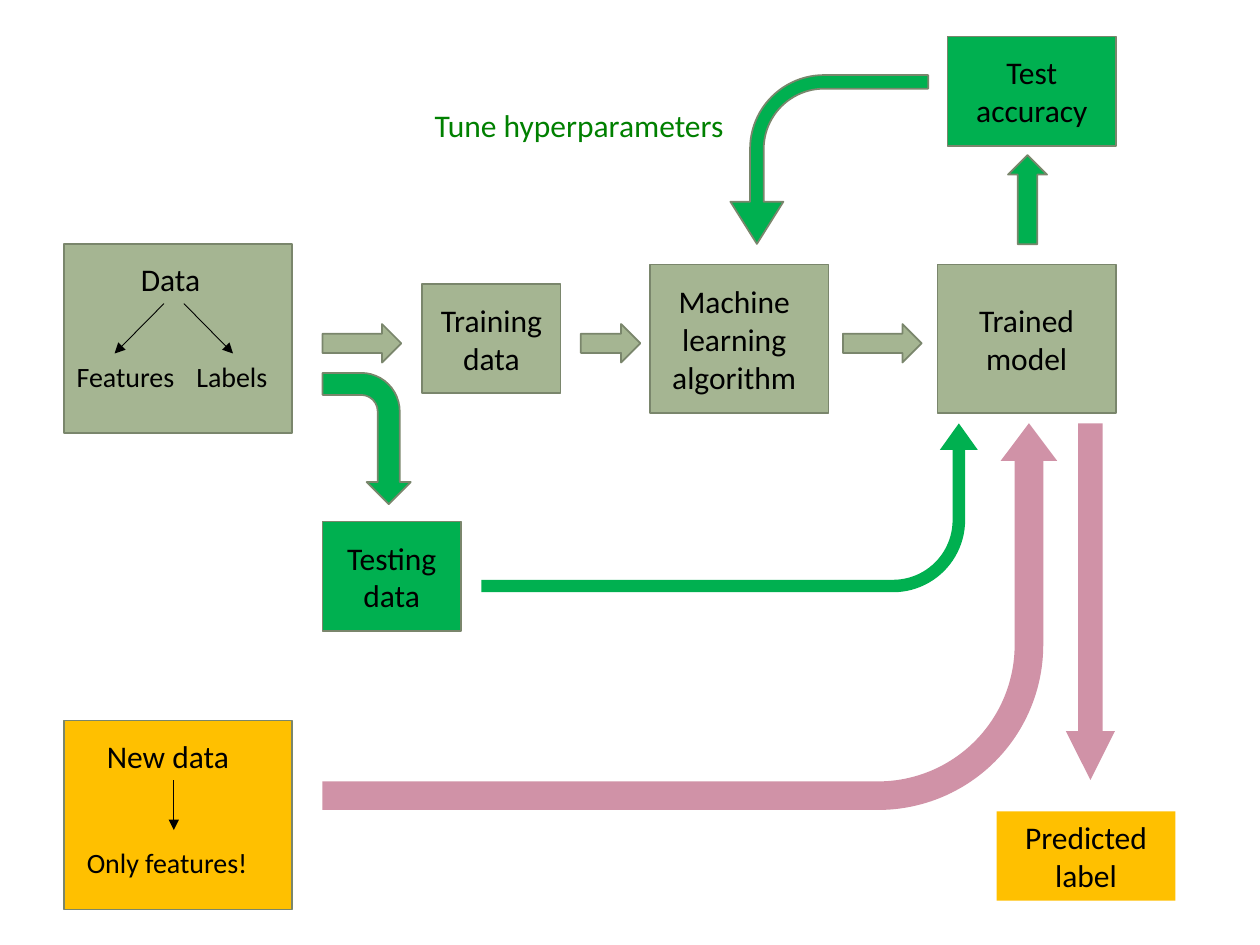
from pptx import Presentation
from pptx.dml.color import RGBColor
from pptx.enum.shapes import MSO_CONNECTOR, MSO_SHAPE
from pptx.enum.text import MSO_ANCHOR, MSO_AUTO_SIZE, PP_ALIGN
from pptx.oxml.ns import qn
from pptx.util import Pt
from lxml import etree

RECTANGLE = MSO_SHAPE.RECTANGLE
RIGHT_ARROW, DOWN_ARROW = MSO_SHAPE.RIGHT_ARROW, MSO_SHAPE.DOWN_ARROW
BENT_ARROW = MSO_SHAPE.BENT_ARROW
STRAIGHT = MSO_CONNECTOR.STRAIGHT
LEFT, CENTER = PP_ALIGN.LEFT, PP_ALIGN.CENTER
MIDDLE = MSO_ANCHOR.MIDDLE
FIT_SHAPE = MSO_AUTO_SIZE.SHAPE_TO_FIT_TEXT

SAGE = RGBColor(0xA5, 0xB5, 0x92)
OUTLINE = RGBColor(0x7A, 0x86, 0x6C)
GREEN = RGBColor(0x00, 0xB0, 0x50)
DARK_GREEN = RGBColor(0x00, 0x80, 0x00)
AMBER = RGBColor(0xFF, 0xC0, 0x00)
PINK = RGBColor(0xD0, 0x92, 0xA7)
BLACK = RGBColor(0x00, 0x00, 0x00)

FONT = "Calibri"
SMALL_STAGE = (79, 62.6)
LARGE_STAGE = (102, 85)


def inside(region, left, top, width, height):
    """Box at an offset from the top left corner of a region."""
    return region[0] + left, region[1] + top, width, height


def write_text(frame, text, size=18, color=BLACK, align=LEFT):
    """One paragraph for each line of the text."""
    frame.word_wrap = True
    for index, line in enumerate(text.split("\n")):
        para = frame.paragraphs[0] if index == 0 else frame.add_paragraph()
        para.alignment = align
        span = para.add_run()
        span.text = line
        span.font.name = FONT
        span.font.size = Pt(size)
        span.font.color.rgb = color


def add_label(page, box, text, **style):
    label = page.shapes.add_textbox(*map(Pt, box))
    label.text_frame.auto_size = FIT_SHAPE
    write_text(label.text_frame, text, **style)


def add_block(page, kind, box, fill, outline=OUTLINE):
    block = page.shapes.add_shape(kind, *map(Pt, box))
    block.shadow.inherit = False
    block.fill.solid()
    block.fill.fore_color.rgb = fill
    if outline is None:
        block.line.fill.background()
    else:
        block.line.color.rgb = outline
        block.line.width = Pt(1)
    return block


def add_stage(page, box, text, fill, outline=OUTLINE, right_margin=7.2):
    stage = add_block(page, RECTANGLE, box, fill, outline)
    frame = stage.text_frame
    frame.vertical_anchor = MIDDLE
    frame.margin_right = Pt(right_margin)
    write_text(frame, text, align=CENTER)


def add_turned_arrow(page, kind, box, fill, rotation, flip=False,
                     adjustments=(), outline=OUTLINE):
    """Arrow turned by 90 or 270 degrees so that it covers the given box."""
    left, top, width, height = box
    shift = (width - height) / 2
    arrow = add_block(page, kind, (left + shift, top - shift, height, width),
                      fill, outline)
    arrow.rotation = rotation
    if flip:
        arrow._element.spPr.find(qn("a:xfrm")).set("flipV", "1")
    for index, value in enumerate(adjustments):
        arrow.adjustments[index] = value


def add_thin_arrow(page, start, end):
    line = page.shapes.add_connector(STRAIGHT, *map(Pt, start + end))
    line.line.color.rgb = BLACK
    line.line.width = Pt(0.5)
    outline = line.line._get_or_add_ln()
    etree.SubElement(outline, qn("a:tailEnd"), type="triangle")
    etree.SubElement(line._element.spPr, qn("a:effectLst"))


def draw_data_panel(page, region, fill, labels, arrows):
    add_block(page, RECTANGLE, region, fill)
    for text, size, box in labels:
        add_label(page, inside(region, *box), text, size=size)
    left, top = region[:2]
    for start_x, end_x in arrows:
        add_thin_arrow(page, (left + start_x, top + 34),
                       (left + end_x, top + 62.5))


def draw_training_row(page, region):
    for left, width in ((0, 45), (147.6, 34), (297.4, 45)):
        add_block(page, RIGHT_ARROW, inside(region, left, 34, width, 22), SAGE)
    add_stage(page, inside(region, 57, 11, *SMALL_STAGE), "Training data", SAGE)
    add_stage(page, inside(region, 187.2, 0, *LARGE_STAGE),
              "Machine learning algorithm", SAGE, right_margin=13)
    add_stage(page, inside(region, 351.4, 0, *LARGE_STAGE),
              "Trained\nmodel", SAGE)


def draw_testing_branch(page, region):
    add_turned_arrow(page, BENT_ARROW, inside(region, 0, 0, 50.4, 75), GREEN, 90)
    add_stage(page, inside(region, 0, 85, *SMALL_STAGE), "Testing data", GREEN)
    add_turned_arrow(page, BENT_ARROW, inside(region, 90.7, 28.9, 283.7, 96.5),
                     GREEN, 270, flip=True, outline=None,
                     adjustments=(0.074, 0.112, 0.156, 0.427))


def draw_tuning_loop(page, region):
    add_stage(page, inside(region, 300.2, 0, 96.5, 62.6), "Test accuracy", GREEN)
    add_turned_arrow(page, RIGHT_ARROW, inside(region, 334.8, 67.7, 22.3, 51),
                     GREEN, 270)
    add_turned_arrow(page, BENT_ARROW, inside(region, 176.2, 22, 113, 96.5),
                     GREEN, 90, flip=True,
                     adjustments=(0.081, 0.157, 0.25, 0.438))
    add_label(page, inside(region, 0, 36, 204, 29), "Tune hyperparameters",
              color=DARK_GREEN)


def draw_prediction_route(page, region):
    add_turned_arrow(page, BENT_ARROW, inside(region, 0, 0, 419.8, 221), PINK,
                     270, flip=True, outline=None,
                     adjustments=(0.074, 0.073, 0.097, 0.427))
    down = add_block(page, DOWN_ARROW, inside(region, 424.8, 0, 28, 203.8),
                     PINK, outline=None)
    down.adjustments[1] = 0.994
    add_stage(page, inside(region, 385.2, 221.8, 102.2, 51),
              "Predicted\nlabel", AMBER, outline=None)


def main():
    deck = Presentation()
    deck.slide_width, deck.slide_height = Pt(720), Pt(540)
    page = deck.slides.add_slide(deck.slide_layouts[6])

    # Known data and new data
    draw_data_panel(page, (36.7, 139.5, 130.3, 108), SAGE,
                    labels=(("Data", 18, (36.7, 5.8, 73.4, 29)),
                            ("Features", 16, (0, 62.6, 79, 26.6)),
                            ("Labels", 16, (68.4, 62.6, 79, 26.6))),
                    arrows=((57, 28.8), (68.4, 96.5)))
    draw_data_panel(page, (36.7, 411.8, 130.3, 108), AMBER,
                    labels=(("New data", 18, (17.3, 5.8, 104.4, 29)),
                            ("Only features!", 16, (5.8, 67.7, 130.3, 26.6))),
                    arrows=((62.6, 62.6),))

    # Paths through the model
    draw_prediction_route(page, (184.3, 241.9, 487.4, 272.8))
    draw_training_row(page, (184.3, 151.2, 453.4, 85))
    draw_testing_branch(page, (184.3, 213.1, 374.4, 147.6))
    draw_tuning_loop(page, (241.2, 20.9, 396.7, 118.7))

    deck.save("out.pptx")


if __name__ == "__main__":
    main()
